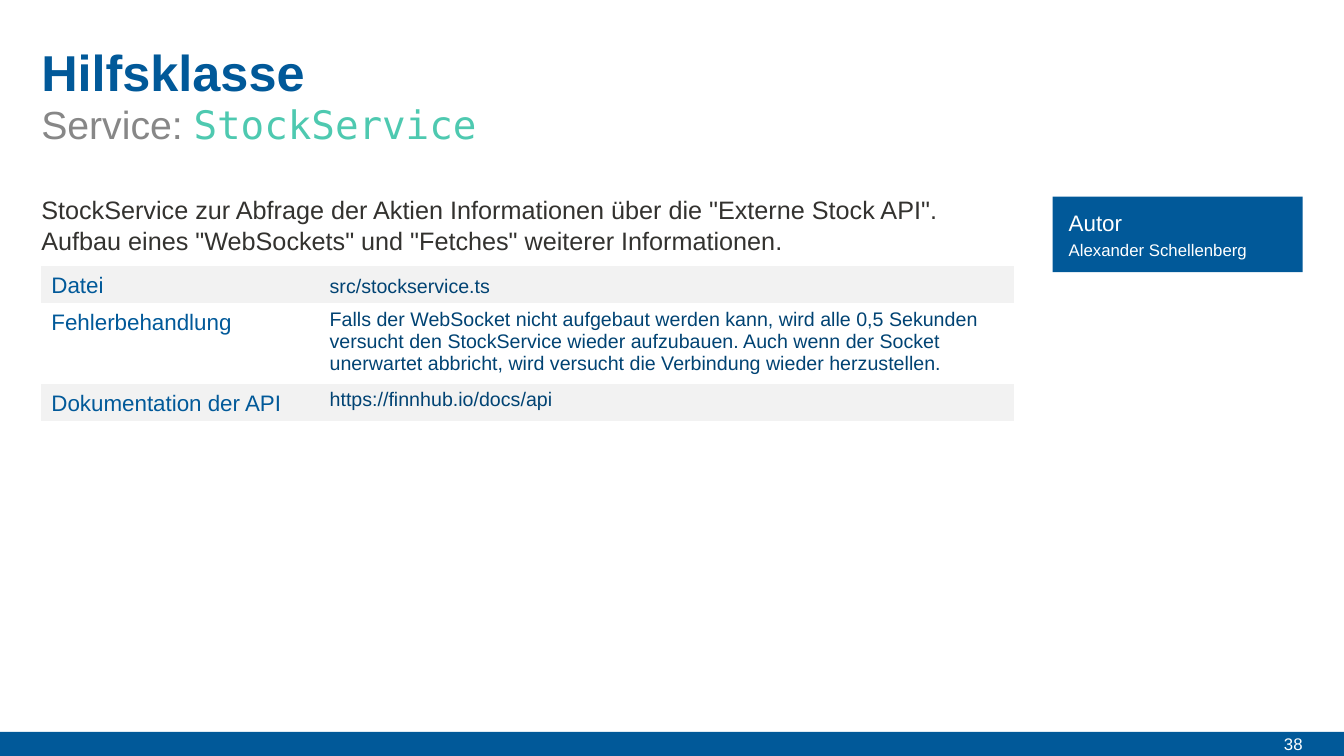
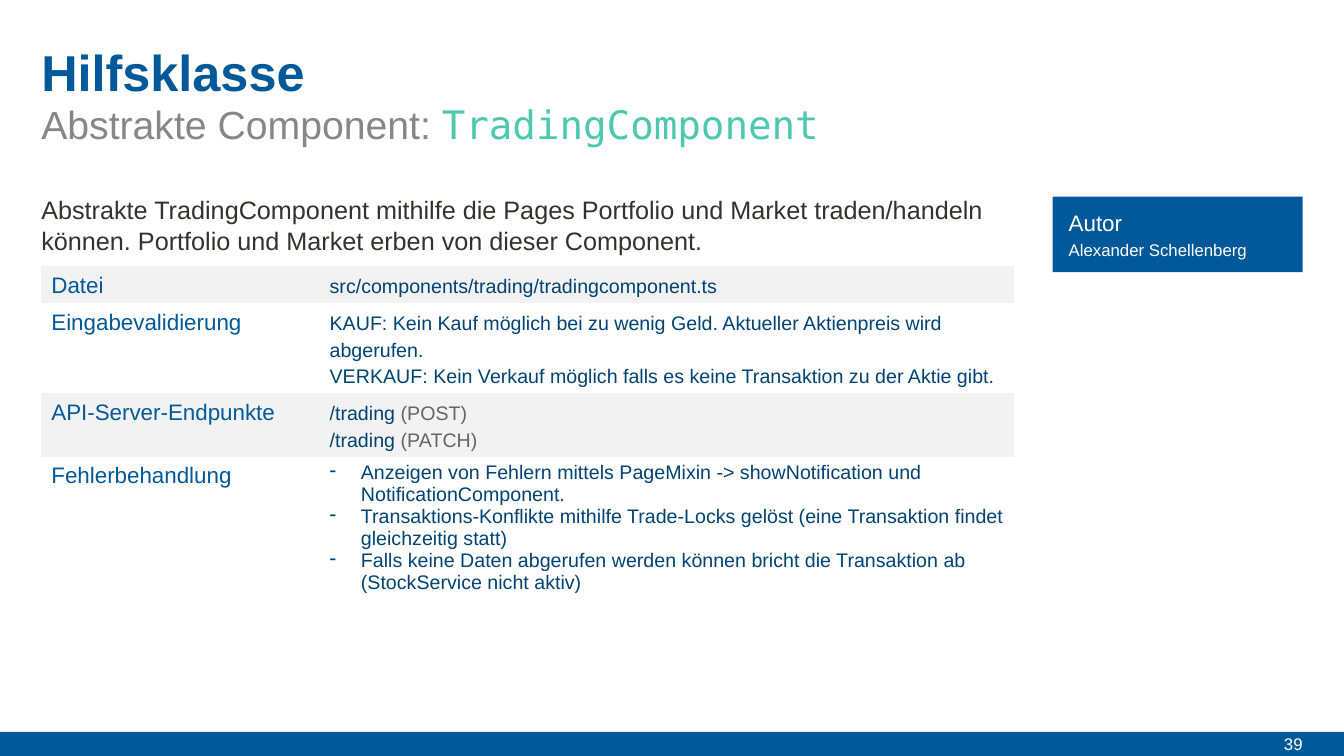
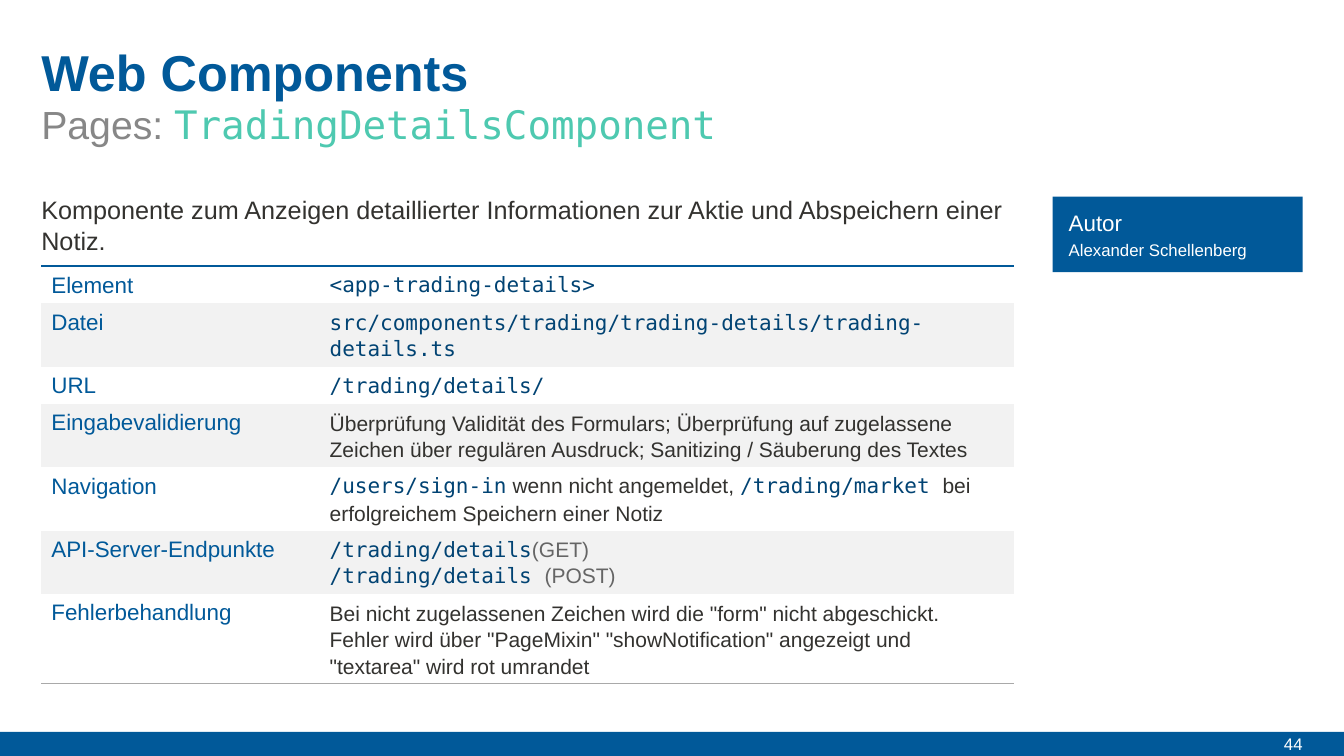
from lxml.etree import SubElement
from pptx import Presentation
from pptx.dml.color import RGBColor
from pptx.enum.shapes import MSO_SHAPE as Shape
from pptx.enum.text import MSO_ANCHOR as Anchor, PP_ALIGN as Align
from pptx.oxml import parse_xml
from pptx.oxml.ns import nsdecls, qn
from pptx.util import Inches, Pt

# Shared colours, fonts and positions
BLUE, NAVY, TEAL = "015999", "014373", "4EC9B0"
INK, GRAY, SILVER = "33322F", "656565", "A9A9A9"
WHITE, PALE = "FFFFFF", "F2F2F2"
SANS, MONO = "Arial", "DejaVu Sans Mono"
SLIDE_WIDTH, SLIDE_HEIGHT = 13.33, 7.5
LEFT, CONTENT_WIDTH = 0.41, 9.65
FOOTER_HEIGHT = 0.24
COLUMNS = (2.76, 6.89)
ROW_HEIGHT = 0.37
NO_GRID_STYLE = "{2D5ABB26-0587-4C30-8999-92F81FD0307C}"

# Text styles: size, colour, font, bold
STYLES = {
    "title": (36, BLUE, SANS, True),
    "subtitle": (28, "878787", SANS, False),
    "class name": (28, TEAL, MONO, False),
    "intro": (18, INK, SANS, False),
    "label": (16, BLUE, SANS, False),
    "value": (14, NAVY, SANS, False),
    "bullet": (14, NAVY, SANS, False),
    "compact": (14, NAVY, SANS, False),
    "method": (14, GRAY, SANS, False),
    "code": (15, NAVY, MONO, False),
    "prose": (15, INK, SANS, False),
    "code method": (15, GRAY, SANS, False),
    "author heading": (16, WHITE, SANS, False),
    "author name": (12, WHITE, SANS, False),
    "page number": (12, WHITE, SANS, False),
}
SINGLE_SPACED = ("bullet", "compact")

# Content: each table row is a label and its paragraphs, made of (text, style) runs
SLIDES = [
    {
        "title": "Hilfsklasse", "kind": "Service: ", "class": "StockService",
        "number": 38, "framed": False,
        "intro": 'StockService zur Abfrage der Aktien Informationen über die "Externe Stock API". '
                 'Aufbau eines "WebSockets" und "Fetches" weiterer Informationen.',
        "rows": [
            ("Datei", [[("src/stockservice.ts", "value")]]),
            ("Fehlerbehandlung", [[(
                "Falls der WebSocket nicht aufgebaut werden kann, wird alle 0,5 Sekunden versucht "
                "den StockService wieder aufzubauen. Auch wenn der Socket unerwartet abbricht, "
                "wird versucht die Verbindung wieder herzustellen.", "compact")]]),
            ("Dokumentation der API", [[("https://finnhub.io/docs/api", "compact")]]),
        ],
    },
    {
        "title": "Hilfsklasse", "kind": "Abstrakte Component: ", "class": "TradingComponent",
        "number": 39, "framed": False,
        "intro": "Abstrakte TradingComponent mithilfe die Pages Portfolio und Market "
                 "traden/handeln können. Portfolio und Market erben von dieser Component.",
        "rows": [
            ("Datei", [[("src/components/trading/tradingcomponent.ts", "value")]]),
            ("Eingabevalidierung", [
                [("KAUF: Kein Kauf möglich bei zu wenig Geld. Aktueller Aktienpreis wird "
                  "abgerufen.", "value")],
                [("VERKAUF: Kein Verkauf möglich falls es keine Transaktion zu der Aktie gibt.",
                  "value")],
            ]),
            ("API-Server-Endpunkte", [
                [("/trading ", "value"), ("(POST)", "method")],
                [("/trading ", "value"), ("(PATCH)", "method")],
            ]),
            ("Fehlerbehandlung", [
                [("Anzeigen von Fehlern mittels PageMixin -> showNotification und "
                  "NotificationComponent.", "bullet")],
                [("Transaktions-Konflikte mithilfe Trade-Locks gelöst (eine Transaktion findet "
                  "gleichzeitig statt)", "bullet")],
                [("Falls keine Daten abgerufen werden können bricht die Transaktion ab "
                  "(StockService nicht aktiv)", "bullet")],
            ]),
        ],
    },
    {
        "title": "Web Components", "kind": "Pages: ", "class": "TradingDetailsComponent",
        "number": 44, "framed": True,
        "intro": "Komponente zum Anzeigen detaillierter Informationen zur Aktie und "
                 "Abspeichern einer Notiz.",
        "rows": [
            ("Element", [[("<app-trading-details>", "code")]]),
            ("Datei", [[("src/components/trading/trading-details/trading-details.ts", "code")]]),
            ("URL", [[("/trading/details/", "code")]]),
            ("Eingabevalidierung", [[(
                "Überprüfung Validität des Formulars; Überprüfung auf zugelassene Zeichen über "
                "regulären Ausdruck; Sanitizing / Säuberung des Textes", "prose")]]),
            ("Navigation", [[
                ("/users/sign-in", "code"), (" wenn nicht angemeldet, ", "prose"),
                ("/trading/market ", "code"),
                ("bei erfolgreichem Speichern einer Notiz", "prose"),
            ]]),
            ("API-Server-Endpunkte", [
                [("/trading/details", "code"), ("(GET)", "code method")],
                [("/trading/details ", "code"), ("(POST)", "code method")],
            ]),
            ("Fehlerbehandlung", [[(
                'Bei nicht zugelassenen Zeichen wird die "form" nicht abgeschickt. Fehler wird '
                'über "PageMixin" "showNotification" angezeigt und "textarea" wird rot umrandet',
                "prose")]]),
        ],
    },
]


def color(value):
    return RGBColor.from_string(value)


def write(paragraph, runs, spacing=None):
    if spacing:
        paragraph.line_spacing = spacing
    for text, style in runs:
        run = paragraph.add_run()
        run.text = text
        size, hue, font, bold = STYLES[style]
        run.font.size, run.font.name, run.font.bold = Pt(size), font, bold
        run.font.color.rgb = color(hue)


def add_text(slide, box, runs, spacing=None, anchor=Anchor.TOP, align=Align.LEFT):
    frame = slide.shapes.add_textbox(*map(Inches, box)).text_frame
    frame.word_wrap = True
    frame.margin_left = frame.margin_top = frame.margin_right = frame.margin_bottom = 0
    frame.vertical_anchor = anchor
    paragraph = frame.paragraphs[0]
    paragraph.alignment = align
    write(paragraph, runs, spacing)


def add_panel(slide, box):
    shape = slide.shapes.add_shape(Shape.RECTANGLE, *map(Inches, box))
    shape.shadow.inherit = False
    shape.fill.solid()
    shape.fill.fore_color.rgb = color(BLUE)
    shape.line.fill.background()


def add_dash(paragraph):
    properties = paragraph._p.get_or_add_pPr()
    properties.set("marL", str(Inches(0.31)))
    properties.set("indent", str(-Inches(0.31)))
    SubElement(properties, qn("a:buChar")).set("char", "-")


def add_border(cell, side, hue, width):
    cell._tc.get_or_add_tcPr().insert(0, parse_xml(
        f'<a:ln{side} {nsdecls("a")} w="{Pt(width)}"><a:solidFill>'
        f'<a:srgbClr val="{hue}"/></a:solidFill></a:ln{side}>'))


def fill_cell(cell, paragraphs, fill):
    cell.fill.solid()
    cell.fill.fore_color.rgb = color(fill)
    frame = cell.text_frame
    for index, runs in enumerate(paragraphs):
        paragraph = frame.add_paragraph() if index else frame.paragraphs[0]
        style = runs[0][1]
        write(paragraph, runs, None if style in SINGLE_SPACED else Pt(19))
        if style == "bullet":
            add_dash(paragraph)


def add_details(slide, rows, framed):
    table = slide.shapes.add_table(
        len(rows), len(COLUMNS), Inches(LEFT), Inches(2.64),
        Inches(CONTENT_WIDTH), Inches(ROW_HEIGHT * len(rows))).table
    table.first_row = table.horz_banding = False
    table._tbl.tblPr.find(qn("a:tableStyleId")).text = NO_GRID_STYLE
    for column, width in zip(table.columns, COLUMNS):
        column.width = Inches(width)
    # Framed tables start with a white row, the others with a shaded one
    bands = (WHITE, PALE) if framed else (PALE, WHITE)
    for index, (label, paragraphs) in enumerate(rows):
        table.rows[index].height = Inches(ROW_HEIGHT)
        fill = bands[index % 2]
        fill_cell(table.cell(index, 0), [[(label, "label")]], fill)
        fill_cell(table.cell(index, 1), paragraphs, fill)
    if framed:
        for column in range(len(COLUMNS)):
            add_border(table.cell(0, column), "T", BLUE, 2)
            add_border(table.cell(len(rows) - 1, column), "B", SILVER, 0.5)


def add_footer(slide, number):
    top = SLIDE_HEIGHT - FOOTER_HEIGHT
    add_panel(slide, (0, top, SLIDE_WIDTH, FOOTER_HEIGHT))
    add_text(slide, (12.18, top, 0.74, FOOTER_HEIGHT), [(str(number), "page number")],
             anchor=Anchor.MIDDLE, align=Align.RIGHT)


def add_author(slide):
    add_panel(slide, (10.44, 1.95, 2.48, 0.75))
    add_text(slide, (10.6, 2.08, 2.17, 0.27), [("Autor", "author heading")], Pt(19))
    add_text(slide, (10.6, 2.38, 2.17, 0.2), [("Alexander Schellenberg", "author name")], Pt(14))


def build_slide(presentation, content):
    slide = presentation.slides.add_slide(presentation.slide_layouts[6])
    add_footer(slide, content["number"])
    # Heading and introduction
    add_text(slide, (LEFT, 0.41, CONTENT_WIDTH, 0.62), [(content["title"], "title")])
    add_text(slide, (LEFT, 0.95, CONTENT_WIDTH, 0.55),
             [(content["kind"], "subtitle"), (content["class"], "class name")], 1.1)
    add_text(slide, (LEFT, 1.92, CONTENT_WIDTH, 0.6), [(content["intro"], "intro")], Pt(22))
    # Details and author
    add_details(slide, content["rows"], content["framed"])
    add_author(slide)


def main():
    presentation = Presentation()
    presentation.slide_width = Inches(SLIDE_WIDTH)
    presentation.slide_height = Inches(SLIDE_HEIGHT)
    for content in SLIDES:
        build_slide(presentation, content)
    presentation.save("out.pptx")


if __name__ == "__main__":
    main()
